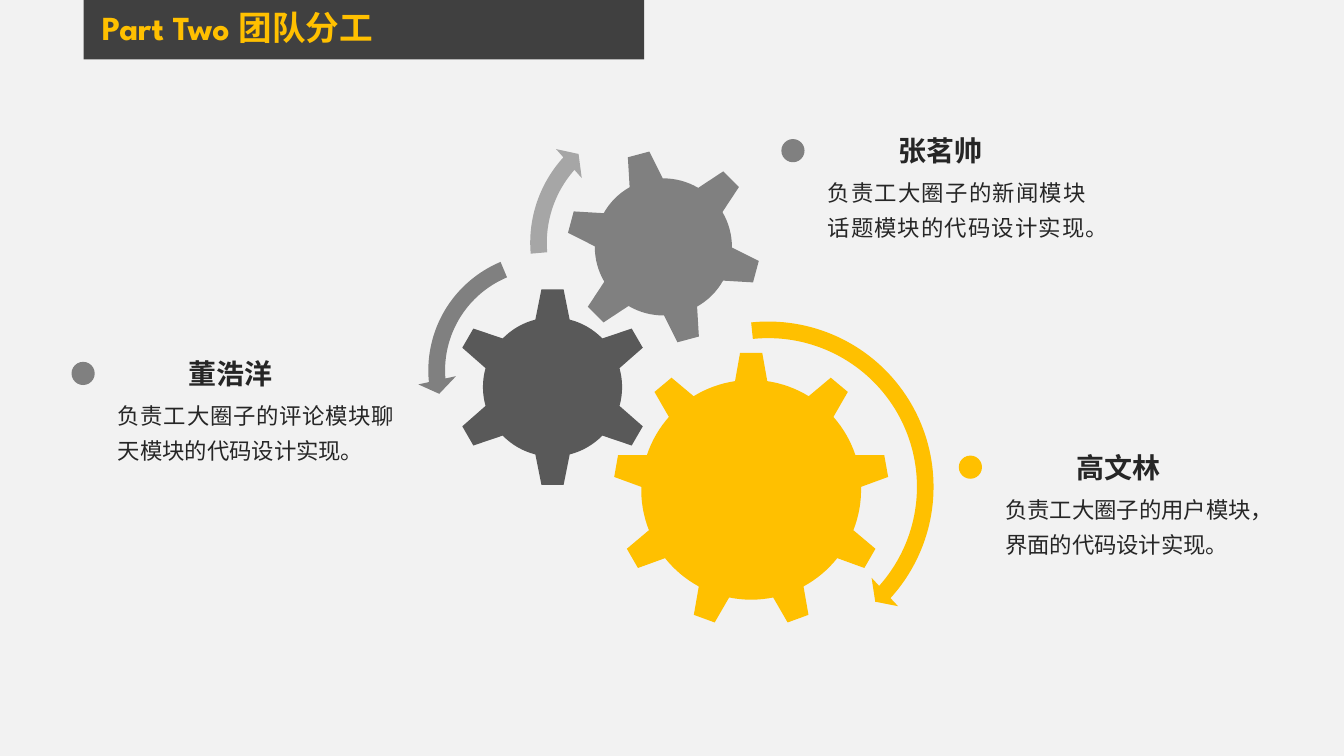
from dataclasses import dataclass
from math import asin, cos, pi, radians, sin, sqrt, tan

from lxml import etree
from pptx import Presentation
from pptx import util as u
from pptx.dml.color import RGBColor
from pptx.enum import lang, shapes, text
from pptx.oxml.ns import qn

PX = 9144  # EMU in one px, 100 px to the inch

Point = tuple[float, float]


@dataclass(frozen=True)
class Theme:
    font: str = "League Spartan"
    back: str = "F2F2F2"
    bar: str = "404040"
    accent: str = "FFC000"
    dark: str = "595959"
    mid: str = "808080"
    light: str = "A6A6A6"
    ink: str = "262626"
    title_pt: int = 24
    name_pt: int = 20
    duty_pt: int = 16


@dataclass(frozen=True)
class Gear:
    x: int
    y: int
    root: int
    tip: int
    root_half: int
    tip_half: int
    teeth: int
    turn: int
    color: str


@dataclass(frozen=True)
class Arrow:
    """A curved arrow; its adjustments are in thousandths."""
    kind: shapes.MSO_SHAPE
    x: int
    y: int
    size: int
    adjust: tuple[int, ...]
    color: str


@dataclass(frozen=True)
class Member:
    x: int
    y: int
    duty_width: int
    name: str
    duty: str
    color: str


T = Theme()
S = shapes.MSO_SHAPE
A = text.PP_ALIGN

GEARS = [
    Gear(745, 486, 109, 136, 16, 11, 9, 0, T.accent),
    Gear(548, 384, 69, 97, 17, 11, 6, 0, T.dark),
    Gear(658, 245, 68, 95, 17, 11, 6, -15, T.mid),
]
ARROWS = [
    Arrow(S.CIRCULAR_ARROW, 587, 308, 350, (47, 2990, 25241, 158444, 55), T.accent),
    Arrow(S.LEFT_CIRCULAR_ARROW, 414, 240, 255, (65, 4300, 104891, 148378, 75), T.mid),
    Arrow(S.CIRCULAR_ARROW, 515, 104, 274, (60, 3941, 133138, 105082, 70), T.light),
]
MEMBERS = [
    Member(775, 138, 276, "张茗帅", "负责工大圈子的新闻模块话题模块的代码设计实现。", T.mid),
    Member(71, 359, 294, "董浩洋", "负责工大圈子的评论模块聊天模块的代码设计实现。", T.mid),
    Member(951, 452, 286, "高文林", "负责工大圈子的用户模块，界面的代码设计实现。", T.accent),
]


def paint(sp, color: str) -> None:
    sp.shadow.inherit = False
    sp.fill.solid()
    sp.fill.fore_color.rgb = RGBColor.from_string(color)
    sp.line.fill.background()


def add_preset(slide, kind, x: int, y: int, w: int, h: int, color: str):
    sp = slide.shapes.add_shape(kind, x * PX, y * PX, w * PX, h * PX)
    paint(sp, color)
    return sp


def write(sp, words: str, size: int, color: str, bold: bool, align,
          spacing: float, wrap: bool = True) -> None:
    tf = sp.text_frame
    frame = {"word_wrap": wrap, "auto_size": text.MSO_AUTO_SIZE.NONE,
             "vertical_anchor": text.MSO_ANCHOR.TOP}
    for key, value in frame.items():
        setattr(tf, key, value)
    p = tf.paragraphs[0]
    p.alignment, p.line_spacing, p.space_before = align, spacing, u.Pt(0)
    r = p.add_run()
    r.text = words
    face = {"name": T.font, "size": u.Pt(size), "bold": bold,
            "language_id": lang.MSO_LANGUAGE_ID.SIMPLIFIED_CHINESE}
    for key, value in face.items():
        setattr(r.font, key, value)
    r.font.color.rgb = RGBColor.from_string(color)


def gear_point(gear: Gear, angle: float, side: float, out: float) -> Point:
    """EMU position, given along and across the tooth at this angle."""
    return ((gear.x + out * sin(angle) + side * cos(angle)) * PX,
            (gear.y - out * cos(angle) + side * sin(angle)) * PX)


def add_gear(slide, gear: Gear) -> None:
    """Draw the teeth with lines and the rim between them with curves."""
    pitch = 2 * pi / gear.teeth
    edge = asin(gear.root_half / gear.root)
    foot = sqrt(gear.root ** 2 - gear.root_half ** 2)
    reach = gear.root * 4 / 3 * tan((pitch - 2 * edge) / 4)
    tooth = [(-gear.root_half, foot), (-gear.tip_half, gear.tip),
             (gear.tip_half, gear.tip), (gear.root_half, foot)]
    corners, handles = [], []
    for i in range(gear.teeth):
        angle = radians(gear.turn) + i * pitch
        corners += [gear_point(gear, angle, *corner) for corner in tooth]
        handles.append((gear_point(gear, angle + edge, reach, gear.root),
                        gear_point(gear, angle + pitch - edge, -reach, gear.root)))

    builder = slide.shapes.build_freeform(*corners[0])
    builder.add_line_segments(corners[1:] + corners[:1], close=True)
    sp = builder.convert_to_shape()
    lines = list(sp._element.iter(qn("a:lnTo")))
    for rim, pair in zip(lines[3::4], handles):
        rim.tag = qn("a:cubicBezTo")
        for i, (x, y) in enumerate(pair):
            pt = etree.Element(qn("a:pt"), x=str(round(x - sp.left)), y=str(round(y - sp.top)))
            rim.insert(i, pt)
    paint(sp, gear.color)


def add_arrow(slide, arrow: Arrow) -> None:
    sp = add_preset(slide, arrow.kind, arrow.x, arrow.y, arrow.size, arrow.size, arrow.color)
    for i, value in enumerate(arrow.adjust):
        sp.adjustments[i] = value / 1000


def add_member(slide, m: Member) -> None:
    name = slide.shapes.add_textbox((m.x + 106) * PX, (m.y - 10) * PX, 104 * PX, 44 * PX)
    write(name, m.name, T.name_pt, T.ink, True, A.CENTER, 1.0, wrap=False)
    duty = slide.shapes.add_textbox((m.x + 36) * PX, (m.y + 27) * PX,
                                    m.duty_width * PX, 80 * PX)
    write(duty, m.duty, T.duty_pt, T.ink, False, A.JUSTIFY, 1.3)
    add_preset(slide, S.OVAL, m.x, m.y, 23, 23, m.color)


def add_header(slide) -> None:
    bar = add_preset(slide, S.RECTANGLE, 83, 0, 556, 59, T.bar)
    title = slide.shapes.title
    title._element.addprevious(bar._element)  # the bar lies behind the title
    place = {"left": 91, "top": 6, "width": 375, "height": 50}
    for key, value in place.items():
        setattr(title, key, value * PX)
    write(title, "Part Two 团队分工", T.title_pt, T.accent, True, A.LEFT, 0.9)


def main() -> None:
    prs = Presentation()
    prs.slide_width, prs.slide_height = 1333 * PX, 750 * PX
    slide = prs.slides.add_slide(prs.slide_layouts[5])
    slide.background.fill.solid()
    slide.background.fill.fore_color.rgb = RGBColor.from_string(T.back)
    add_header(slide)
    for gear in GEARS:
        add_gear(slide, gear)
    for arrow in ARROWS:
        add_arrow(slide, arrow)
    for member in MEMBERS:
        add_member(slide, member)
    prs.save("out.pptx")


if __name__ == "__main__":
    main()
